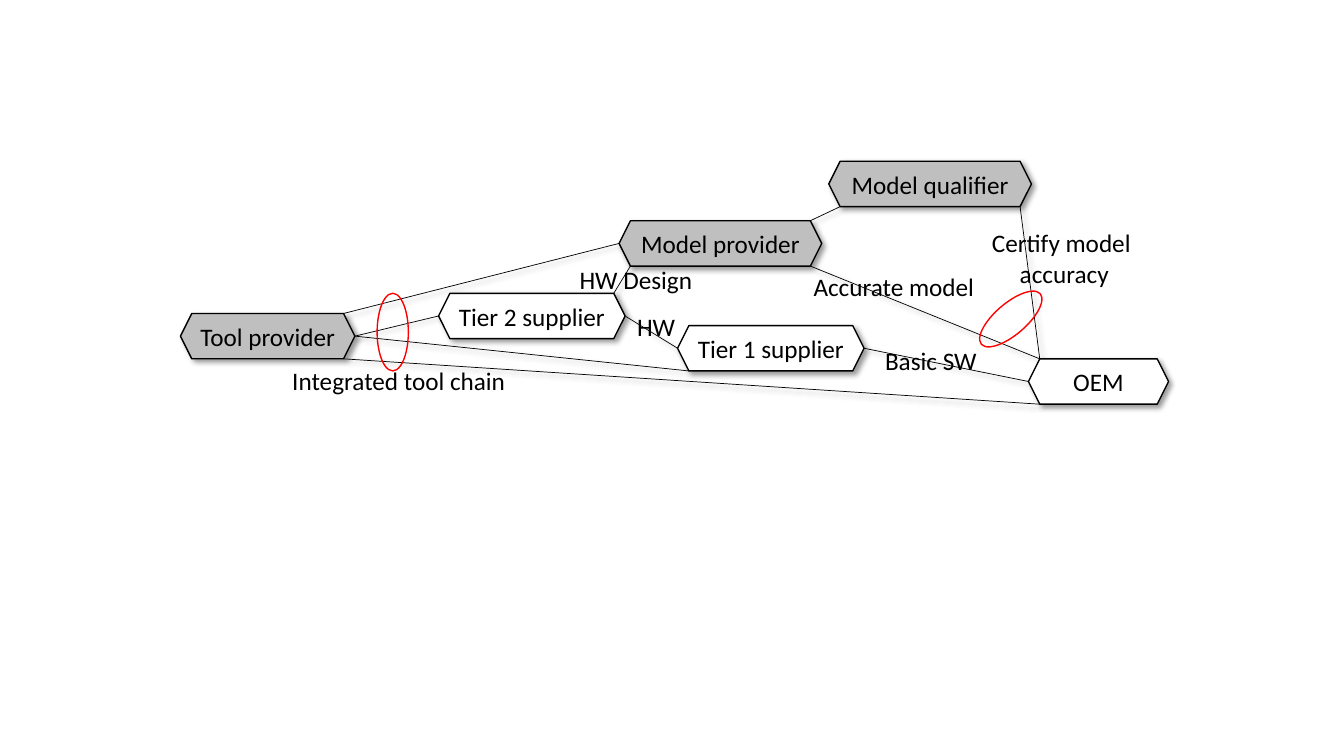
from lxml import etree
from pptx import Presentation
from pptx.dml.color import RGBColor
from pptx.enum import shapes, text
from pptx.oxml import parse_xml
from pptx.util import Inches, Pt

BLACK = RGBColor(0, 0, 0)
WHITE = RGBColor(255, 255, 255)
GRAY = RGBColor(0xBF, 0xBF, 0xBF)
RED = RGBColor(255, 0, 0)
HIGH = 0.45
SLANT = HIGH / 4
SHADE = """<a:effectLst xmlns:a="http://schemas.openxmlformats.org/drawingml/2006/main">
<a:outerShdw blurRad="50800" dist="38100" dir="2700000" algn="tl" rotWithShape="0">
<a:srgbClr val="000000"><a:alpha val="40000"/></a:srgbClr></a:outerShdw></a:effectLst>"""

deck = Presentation()
deck.slide_width, deck.slide_height = Inches(13.33), Inches(7.5)
slide = deck.slides.add_slide(deck.slide_layouts[6])

nodes = {
    "OEM": (10.2, 3.56, 1.39, WHITE),
    "Tool provider": (1.79, 3.11, 1.73, GRAY),
    "Model qualifier": (8.22, 1.6, 2.01, GRAY),
    "Tier 2 supplier": (4.35, 2.91, 1.85, WHITE),
    "Tier 1 supplier": (6.72, 3.23, 1.85, WHITE),
    "Model provider": (6.14, 2.19, 2.01, GRAY),
}


def corner(name, site):
    left, top, wide, fill = nodes[name]
    inset = 0 if site[0] == "mid" else SLANT
    x = left + inset if site[1] == "left" else left + wide - inset
    y = top + {"top": 0, "mid": HIGH / 2, "low": HIGH}[site[0]]
    return Inches(x), Inches(y)


def write(frame, words, align):
    para = frame.paragraphs[0]
    para.text = words
    para.alignment = align
    for run in para.runs:
        run.font.name = "Calibri"
        run.font.size = Pt(18)
        run.font.color.rgb = BLACK


links = [
    ("Tool provider", "mid right", "Tier 2 supplier", "mid left"),
    ("Tool provider", "mid right", "Tier 1 supplier", "low left"),
    ("Tool provider", "low right", "OEM", "low left"),
    ("Tool provider", "top right", "Model provider", "mid left"),
    ("Model provider", "low left", "Tier 2 supplier", "top right"),
    ("Tier 2 supplier", "mid right", "Tier 1 supplier", "mid left"),
    ("Tier 1 supplier", "mid right", "OEM", "mid left"),
    ("Model provider", "top right", "Model qualifier", "low left"),
    ("Model provider", "low right", "OEM", "top left"),
    ("Model qualifier", "low right", "OEM", "top left"),
]
for start, out, end, into in links:
    line = slide.shapes.add_connector(
        shapes.MSO_CONNECTOR.STRAIGHT,
        *corner(start, out.split()), *corner(end, into.split()))
    line.line.color.rgb = BLACK
    line.line.width = Pt(0.5)
    line._element.spPr.append(parse_xml(SHADE))

labels = [
    ("Integrated tool chain", 2.8, 3.58, 2.35, 0.4, text.PP_ALIGN.LEFT),
    ("HW", 6.22, 3.04, 0.58, 0.4, text.PP_ALIGN.LEFT),
    ("Basic SW", 8.68, 3.38, 1.13, 0.4, text.PP_ALIGN.LEFT),
    ("Accurate model", 7.97, 2.64, 1.82, 0.4, text.PP_ALIGN.LEFT),
    ("Certify model \naccuracy", 9.73, 2.21, 1.65, 0.71, text.PP_ALIGN.CENTER),
    ("HW Design", 5.65, 2.57, 1.33, 0.4, text.PP_ALIGN.LEFT),
]
for words, left, top, wide, high, align in labels:
    box = slide.shapes.add_textbox(*map(Inches, (left, top, wide, high)))
    box.text_frame.word_wrap = False
    box.text_frame.auto_size = text.MSO_AUTO_SIZE.SHAPE_TO_FIT_TEXT
    write(box.text_frame, words, align)

for left, top, turn in [(3.74, 2.91, 0), (9.87, 2.78, 49.4)]:
    ring = slide.shapes.add_shape(
        shapes.MSO_SHAPE.OVAL, *map(Inches, (left, top, 0.31, 0.77)))
    ring.rotation = turn
    ring.shadow.inherit = False
    ring.fill.background()
    ring.line.color.rgb = RED
    ring.line.width = Pt(1)

for name, (left, top, wide, fill) in nodes.items():
    hexa = slide.shapes.add_shape(
        shapes.MSO_SHAPE.HEXAGON, *map(Inches, (left, top, wide, HIGH)))
    hexa.fill.solid()
    hexa.fill.fore_color.rgb = fill
    hexa.line.color.rgb = BLACK
    hexa.line.width = Pt(1)
    hexa._element.spPr.append(parse_xml(SHADE))
    frame = hexa.text_frame
    frame.margin_left = frame.margin_right = 0
    frame.vertical_anchor = text.MSO_ANCHOR.MIDDLE
    write(frame, name, text.PP_ALIGN.CENTER)

deck.save("out.pptx")
